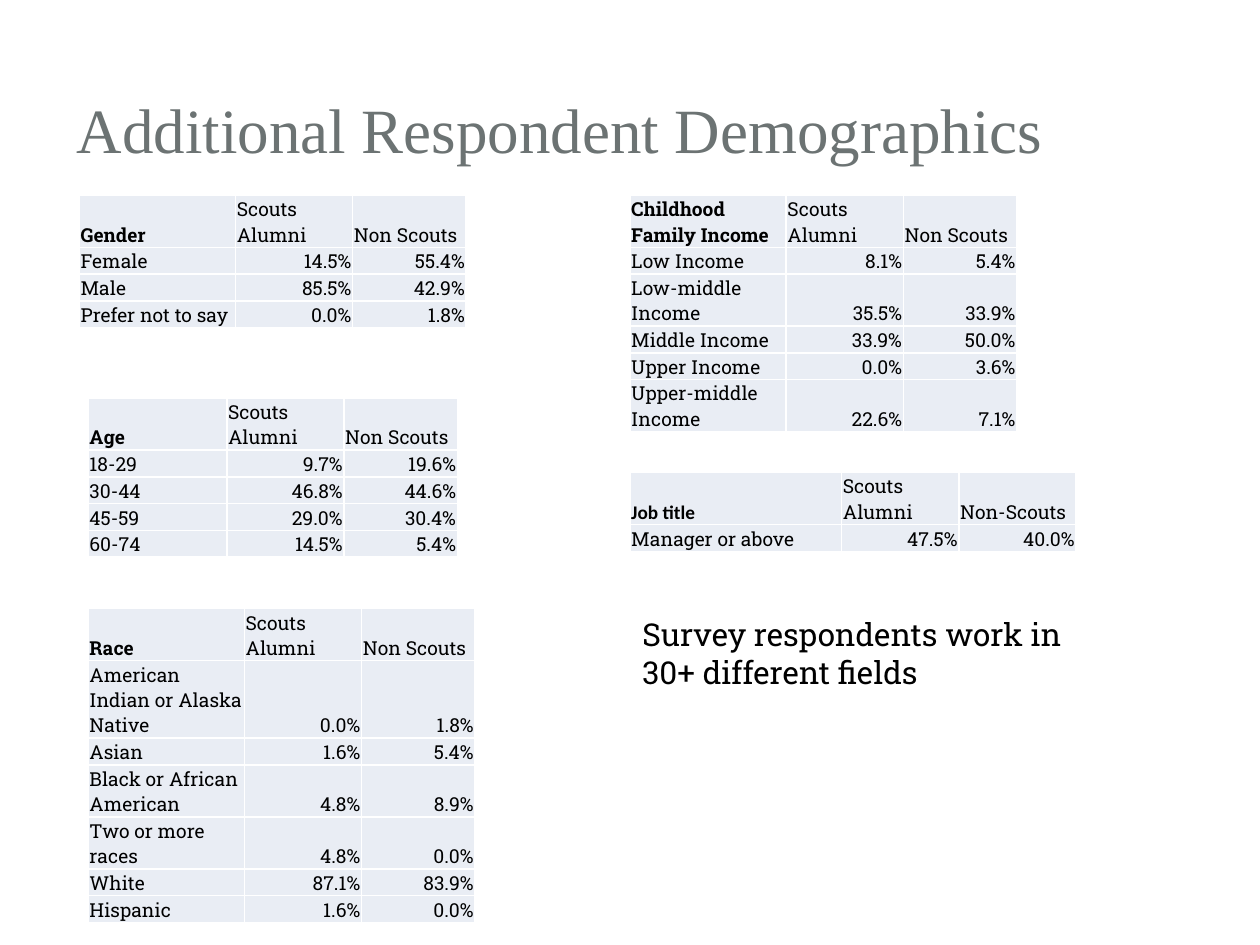
from dataclasses import dataclass

from lxml.etree import SubElement
from pptx import Presentation
from pptx.dml.color import RGBColor
from pptx.enum.text import MSO_ANCHOR as Anchor, MSO_AUTO_SIZE as AutoSize, PP_ALIGN as Align
from pptx.oxml.ns import qn
from pptx.slide import Slide
from pptx.util import Inches, Pt

COLORS = {"title": "6C7373", "text": "000000", "cell": "E9EDF4", "border": "FFFFFF"}
SLAB = "Roboto Slab"
GRID_COLUMNS = 100
SLIDE_WIDTH, SLIDE_HEIGHT = Inches(10), Inches(7.5)
LINE_ROWS = 2


@dataclass(frozen=True)
class Breakdown:
    topic: str
    left: float
    top: float
    height: float
    answers: tuple
    columns: tuple = (12.4, 9.3, 9)
    tall_rows: tuple = ()
    non_scouts: str = "Non Scouts"
    topic_font: str = SLAB


BREAKDOWNS = (
    Breakdown("Gender", 6.3, 15.5, 9.7, (
        ("Female", "14.5%", "55.4%"),
        ("Male", "85.5%", "42.9%"),
        ("Prefer not to say", "0.0%", "1.8%"),
    )),
    Breakdown("Age", 7, 31.6, 11.8, (
        ("18-29", "9.7%", "19.6%"),
        ("30-44", "46.8%", "44.6%"),
        ("45-59", "29.0%", "30.4%"),
        ("60-74", "14.5%", "5.4%"),
    ), columns=(11, 9.3, 9)),
    Breakdown("Race", 7, 48.3, 21.5, (
        ("American Indian or Alaska Native", "0.0%", "1.8%"),
        ("Asian", "1.6%", "5.4%"),
        ("Black or African American", "4.8%", "8.9%"),
        ("Two or more races", "4.8%", "0.0%"),
        ("White", "87.1%", "83.9%"),
        ("Hispanic", "1.6%", "0.0%"),
    ), tall_rows=(1, 3)),
    Breakdown("Childhood Family Income", 50, 15.5, 17.5, (
        ("Low Income", "8.1%", "5.4%"),
        ("Low-middle Income", "35.5%", "33.9%"),
        ("Middle Income", "33.9%", "50.0%"),
        ("Upper Income", "0.0%", "3.6%"),
        ("Upper-middle Income", "22.6%", "7.1%"),
    ), tall_rows=(0,)),
    Breakdown("Job title", 50, 37.5, 5.7, (
        ("Manager or above", "47.5%", "40.0%"),
    ), columns=(16.8, 9.3, 9.3), non_scouts="Non-Scouts", topic_font="Calibri"),
)


def grid(units: float) -> int:
    return round(SLIDE_WIDTH * units / GRID_COLUMNS)


def style_text(paragraph, size: float, font: str, color: str, bold: bool = False) -> None:
    for run in paragraph.runs:
        run.font.size = Pt(size)
        run.font.name = font
        run.font.bold = bold
        run.font.color.rgb = RGBColor.from_string(COLORS[color])


def add_borders(cell) -> None:
    properties = cell._tc.get_or_add_tcPr()
    for side in ("lnL", "lnR", "lnT", "lnB"):
        border = SubElement(properties, qn(f"a:{side}"), w=str(Pt(1)))
        fill = SubElement(border, qn("a:solidFill"))
        SubElement(fill, qn("a:srgbClr"), val=COLORS["border"])


def fill_cell(cell, text: str, font: str, bold: bool, align: Align) -> None:
    cell.margin_left = cell.margin_right = cell.margin_top = Inches(0.01)
    cell.margin_bottom = 0
    cell.vertical_anchor = Anchor.BOTTOM
    add_borders(cell)
    cell.fill.solid()
    cell.fill.fore_color.rgb = RGBColor.from_string(COLORS["cell"])
    cell.text_frame.text = text
    paragraph = cell.text_frame.paragraphs[0]
    paragraph.alignment = align
    style_text(paragraph, 11, font, "text", bold)


def add_breakdown(slide: Slide, breakdown: Breakdown) -> None:
    header = (breakdown.topic, "Scouts Alumni", breakdown.non_scouts)
    entries = (header, *breakdown.answers)
    frame = slide.shapes.add_table(
        len(entries), len(header), grid(breakdown.left), grid(breakdown.top),
        grid(sum(breakdown.columns)), grid(breakdown.height))
    table = frame.table
    table.first_row = table.horz_banding = False
    for column, width in zip(table.columns, breakdown.columns):
        column.width = grid(width)
    for row_number, entry in enumerate(entries):
        lines = 2 if row_number in breakdown.tall_rows else 1
        table.rows[row_number].height = grid(lines * LINE_ROWS)
        for column_number, text in enumerate(entry):
            is_topic = row_number == column_number == 0
            is_share = row_number > 0 and column_number > 0
            fill_cell(table.cell(row_number, column_number), text,
                      breakdown.topic_font if is_topic else SLAB, is_topic,
                      Align.RIGHT if is_share else Align.LEFT)
    frame.height = grid(breakdown.height)


def add_title(slide: Slide, text: str) -> None:
    title = slide.shapes.title
    title.left, title.top, title.width, title.height = map(grid, (5.1, 4.8, 79.1, 10.7))
    title.text_frame.text = text
    title.text_frame.vertical_anchor = Anchor.MIDDLE
    heading = title.text_frame.paragraphs[0]
    heading.alignment = Align.LEFT
    style_text(heading, 36, "Times New Roman", "title")


def add_fields_note(slide: Slide, text: str) -> None:
    note = slide.shapes.add_textbox(*map(grid, (50, 48.3, 37.2, 7.1))).text_frame
    note.word_wrap = True
    note.auto_size = AutoSize.SHAPE_TO_FIT_TEXT
    note.text = text
    style_text(note.paragraphs[0], 18, SLAB, "text")


def main() -> None:
    deck = Presentation()
    deck.slide_width, deck.slide_height = SLIDE_WIDTH, SLIDE_HEIGHT
    slide = deck.slides.add_slide(deck.slide_layouts.get_by_name("Title Only"))
    add_title(slide, "Additional Respondent Demographics")
    for breakdown in BREAKDOWNS:
        add_breakdown(slide, breakdown)
    add_fields_note(slide, "Survey respondents work in 30+ different fields")
    deck.save("out.pptx")


if __name__ == "__main__":
    main()
